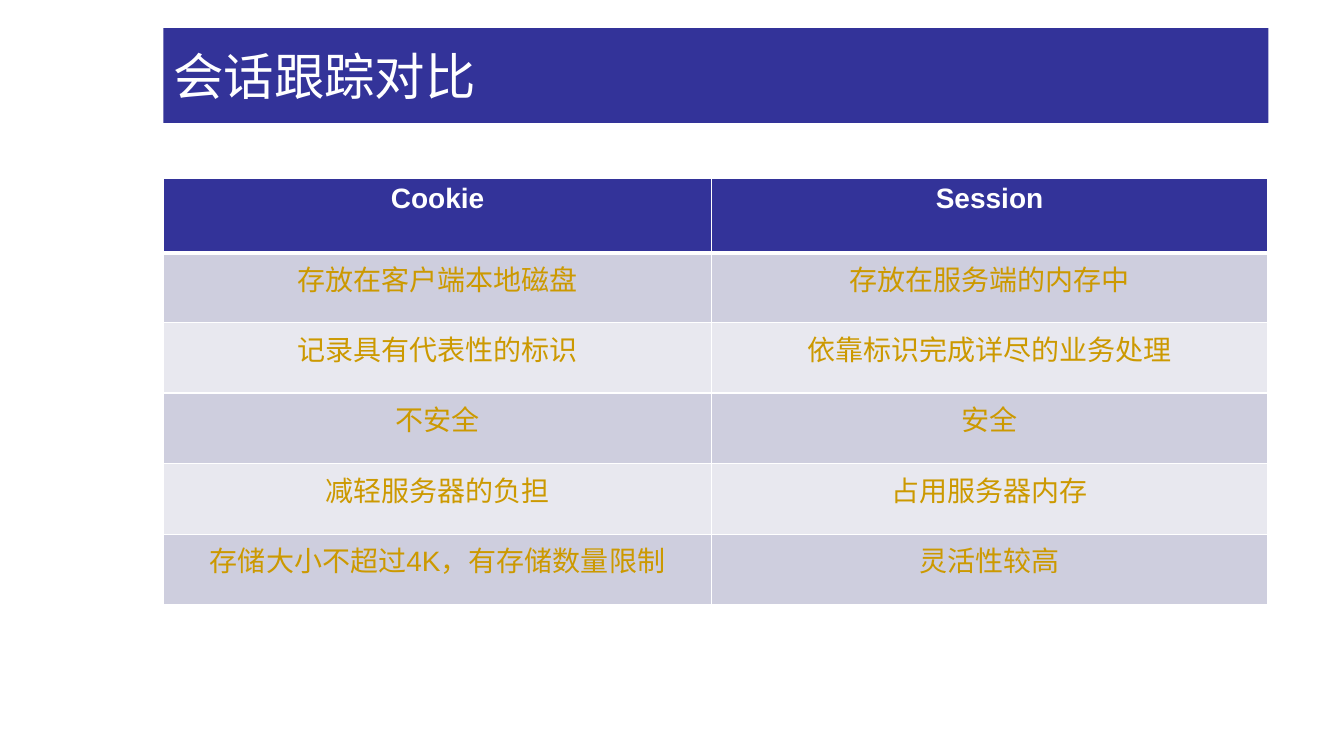
from pptx import Presentation
from pptx.util import Inches, Pt
from pptx.dml.color import RGBColor as Rgb
from pptx.enum.shapes import MSO_SHAPE as Shape
from pptx.enum.text import PP_ALIGN as Align, MSO_ANCHOR as Anchor
from lxml.etree import SubElement as Sub
from pptx.oxml.ns import qn

# Content
TITLE = "会话跟踪对比"
ROWS = [
    ("Cookie", "Session"),
    ("存放在客户端本地磁盘", "存放在服务端的内存中"),
    ("记录具有代表性的标识", "依靠标识完成详尽的业务处理"),
    ("不安全", "安全"),
    ("减轻服务器的负担", "占用服务器内存"),
    ("存储大小不超过4K，有存储数量限制", "灵活性较高"),
]

# Look and layout
HUES = {"navy": "333399", "white": "FFFFFF", "gold": "CC9900",
        "dark": "CECEDE", "light": "E8E8EF"}
LATIN, HAN = "Arial", "Noto Sans CJK SC"
LEFT, WIDTH = 1.62, 10.96
COLS = [5.44, 5.51]
TALL = [0.74, 0.69] + [0.7] * 4


def hue(name):
    return Rgb.from_string(HUES[name])


def paint(fill, name):
    fill.solid()
    fill.fore_color.rgb = hue(name)


def write(frame, text, size, name, align, bold=False):
    para = frame.paragraphs[0]
    para.alignment = align
    run = para.add_run()
    run.text = text
    font = run.font
    font.size, font.bold, font.name = Pt(size), bold, LATIN
    font.color.rgb = hue(name)
    Sub(font._element, qn("a:ea"), typeface=HAN)


def edge(cell, side, width):
    line = Sub(cell._tc.get_or_add_tcPr(), qn("a:ln" + side), w=str(Pt(width)))
    Sub(Sub(line, qn("a:solidFill")), qn("a:srgbClr"), val=HUES["white"])


deck = Presentation()
deck.slide_width, deck.slide_height = Inches(13.33), Inches(7.5)
slide = deck.slides.add_slide(deck.slide_layouts[6])

# Title bar
bar = slide.shapes.add_shape(Shape.RECTANGLE, Inches(LEFT), Inches(0.28),
                             Inches(WIDTH), Inches(0.94))
bar.shadow.inherit = False
bar.line.fill.background()
paint(bar.fill, "navy")
bar.text_frame.word_wrap = True
bar.text_frame.vertical_anchor = Anchor.MIDDLE
write(bar.text_frame, TITLE, 36, "white", Align.LEFT)

# Comparison table
table = slide.shapes.add_table(len(ROWS), len(COLS), Inches(LEFT), Inches(1.77),
                               Inches(WIDTH), Inches(sum(TALL))).table
for col, width in zip(table.columns, COLS):
    col.width = Inches(width)
for r, (texts, height) in enumerate(zip(ROWS, TALL)):
    table.rows[r].height = Inches(height)
    head = r == 0
    back = "navy" if head else ("light", "dark")[r % 2]
    for c, text in enumerate(texts):
        cell = table.cell(r, c)
        for side in "LRTB":
            thick = (head and side == "B") or (r == 1 and side == "T")
            edge(cell, side, 3 if thick else 1)
        paint(cell.fill, back)
        write(cell.text_frame, text, 20, "white" if head else "gold",
              Align.CENTER, head)

deck.save("out.pptx")
